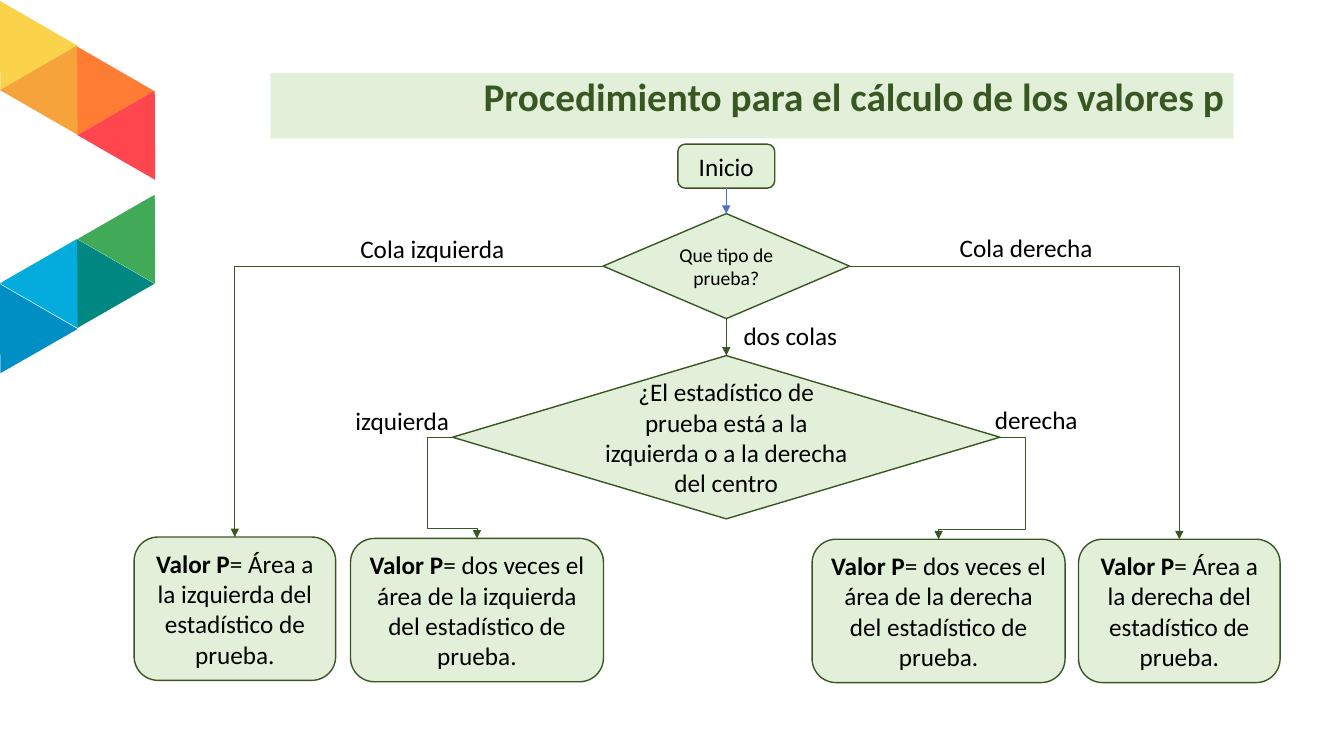
from lxml import etree
from pptx import Presentation
from pptx.dml.color import RGBColor
from pptx.enum.shapes import MSO_CONNECTOR as CONNECTOR, MSO_SHAPE as SHAPE
from pptx.enum.text import MSO_ANCHOR as ANCHOR, MSO_AUTO_SIZE as AUTO_SIZE, PP_ALIGN as ALIGN
from pptx.oxml.ns import qn
from pptx.util import Pt

PALE_GREEN = RGBColor(0xE2, 0xF0, 0xD9)
DARK_GREEN = RGBColor(0x38, 0x57, 0x23)
BLUE = RGBColor(0x44, 0x72, 0xC4)
BLACK = RGBColor(0, 0, 0)
FONT = "Calibri"
TITLE = "Procedimiento para el cálculo de los valores p"

# Decorative triangles: left, top, rotation, colour
TRIANGLE_SIZE = (64, 55)
TRIANGLES = [
    (-18, 13, 210, "FAD34B"),
    (36.8, 45.4, 210, "FF7C35"),
    (9.4, 29, 29.9, "F7A33C"),
    (64.8, 61.2, 29.9, "FF454D"),
    (36.8, 183, 210, "008781"),
    (-18, 215.3, 210, "008FC4"),
    (9.4, 167, 29.9, "03ACDC"),
    (64.8, 135.4, 29.9, "40AA59"),
]

# Flowchart nodes: name -> kind, centre x, top, width, height, size, bold text, text
AXIS = 518.8
PROCESS, DECISION = SHAPE.FLOWCHART_ALTERNATE_PROCESS, SHAPE.FLOWCHART_DECISION
NODES = {
    "start": (PROCESS, AXIS, 103, 69.2, 31.4, 18, "", "Inicio"),
    "test type": (DECISION, AXIS, 152.6, 176, 75, 14, "", "Que tipo de prueba?"),
    "side": (DECISION, AXIS, 254, 391, 116.6, 18, "",
             "¿El estadístico de prueba está a la izquierda o a la derecha del centro"),
    "left tail": (PROCESS, 167.8, 383.6, 144, 102.4, 18, "Valor P",
                  "= Área a la izquierda del estadístico de prueba."),
    "right tail": (PROCESS, 842.4, 385.2, 144, 102.4, 18, "Valor P",
                   "= Área a la derecha del estadístico de prueba."),
    "twice left": (PROCESS, 340.7, 384.6, 180.7, 102.4, 18, "Valor P",
                   "= dos veces el área de la izquierda del estadístico de prueba."),
    "twice right": (PROCESS, 670.4, 385.2, 180.7, 102.4, 18, "Valor P",
                    "= dos veces el área de la derecha del estadístico de prueba."),
}

# Arrows: from, connection site, to, preset, colour (each ends at the top site)
TOP, LEFT, BOTTOM, RIGHT = range(4)
ARROWS = [
    ("start", BOTTOM, "test type", "straightConnector1", BLUE),
    ("test type", BOTTOM, "side", "straightConnector1", DARK_GREEN),
    ("test type", RIGHT, "right tail", "bentConnector2", DARK_GREEN),
    ("test type", LEFT, "left tail", "bentConnector2", DARK_GREEN),
    ("side", RIGHT, "twice right", "bentConnector4", DARK_GREEN),
    ("side", LEFT, "twice left", "bentConnector4", DARK_GREEN),
]
BEND_OUT, BEND_ABOVE = Pt(18), Pt(7.3)

# Branch labels: left, top, width, text
LABELS = [
    (678.4, 162.2, 110.8, "Cola derecha"),
    (250.3, 162.8, 118.7, "Cola izquierda"),
    (703.6, 285.4, 74, "derecha"),
    (246.8, 285.9, 82, "izquierda"),
    (524, 225.2, 82, "dos colas"),
]


def add_run(paragraph, text, size, bold=False, color=BLACK):
    run = paragraph.add_run()
    run.text = text
    run.font.name, run.font.size, run.font.bold = FONT, Pt(size), bold
    run.font.color.rgb = color


def add_node(shapes, kind, center, top, width, height, size, bold_text, text):
    node = shapes.add_shape(kind, Pt(center - width / 2), Pt(top), Pt(width), Pt(height))
    node.shadow.inherit = False
    node.fill.solid()
    node.fill.fore_color.rgb = PALE_GREEN
    node.line.color.rgb = DARK_GREEN
    node.line.width = Pt(1)
    frame = node.text_frame
    frame.word_wrap = True
    frame.vertical_anchor = ANCHOR.MIDDLE
    paragraph = frame.paragraphs[0]
    paragraph.alignment = ALIGN.CENTER
    if bold_text:
        add_run(paragraph, bold_text, size, bold=True)
    add_run(paragraph, text, size)
    return node


def add_arrow(shapes, source, site, target, preset, color):
    kind = CONNECTOR.STRAIGHT if preset.startswith("straight") else CONNECTOR.ELBOW
    arrow = shapes.add_connector(kind, 0, 0, 0, 0)
    arrow.begin_connect(source, site)
    arrow.end_connect(target, TOP)
    arrow.line.color.rgb = color
    arrow.line.width = Pt(0.5)
    properties = arrow._element.spPr
    geometry = properties.find(qn("a:prstGeom"))
    geometry.set("prst", preset)
    if preset == "bentConnector4":
        # Step outwards first, then turn in just above the target
        guides = geometry.find(qn("a:avLst"))
        ratios = (-BEND_OUT / arrow.width, 1 - BEND_ABOVE / arrow.height)
        for number, ratio in enumerate(ratios, 1):
            etree.SubElement(guides, qn("a:gd"), name=f"adj{number}",
                             fmla=f"val {round(ratio * 100000)}")
    etree.SubElement(properties.find(qn("a:ln")), qn("a:tailEnd"), type="triangle")
    etree.SubElement(properties, qn("a:effectLst"))


def main():
    presentation = Presentation()
    presentation.slide_width, presentation.slide_height = Pt(960), Pt(540)
    slide = presentation.slides.add_slide(presentation.slide_layouts[5])
    shapes = slide.shapes

    # Title band
    title = shapes.title
    title.left, title.top, title.width, title.height = Pt(193.2), Pt(52), Pt(688), Pt(46.8)
    title.fill.solid()
    title.fill.fore_color.rgb = PALE_GREEN
    frame = title.text_frame
    frame.word_wrap = True
    frame.auto_size = AUTO_SIZE.NONE
    frame.vertical_anchor = ANCHOR.TOP
    paragraph = frame.paragraphs[0]
    paragraph.alignment = ALIGN.RIGHT
    paragraph.line_spacing = 0.9
    add_run(paragraph, TITLE, 28, bold=True, color=DARK_GREEN)

    # Triangles on the left edge
    for left, top, rotation, color in TRIANGLES:
        triangle = shapes.add_shape(SHAPE.ISOSCELES_TRIANGLE, Pt(left), Pt(top),
                                    *map(Pt, TRIANGLE_SIZE))
        triangle.rotation = rotation
        triangle.shadow.inherit = False
        triangle.fill.solid()
        triangle.fill.fore_color.rgb = RGBColor.from_string(color)
        triangle.line.fill.background()

    # Flowchart
    nodes = {name: add_node(shapes, *node) for name, node in NODES.items()}
    for source, site, target, preset, color in ARROWS:
        add_arrow(shapes, nodes[source], site, nodes[target], preset, color)

    # Branch labels
    for left, top, width, text in LABELS:
        label = shapes.add_textbox(Pt(left), Pt(top), Pt(width), Pt(29))
        label.text_frame.word_wrap = False
        label.text_frame.auto_size = AUTO_SIZE.SHAPE_TO_FIT_TEXT
        add_run(label.text_frame.paragraphs[0], text, 18)

    presentation.save("out.pptx")


if __name__ == "__main__":
    main()
